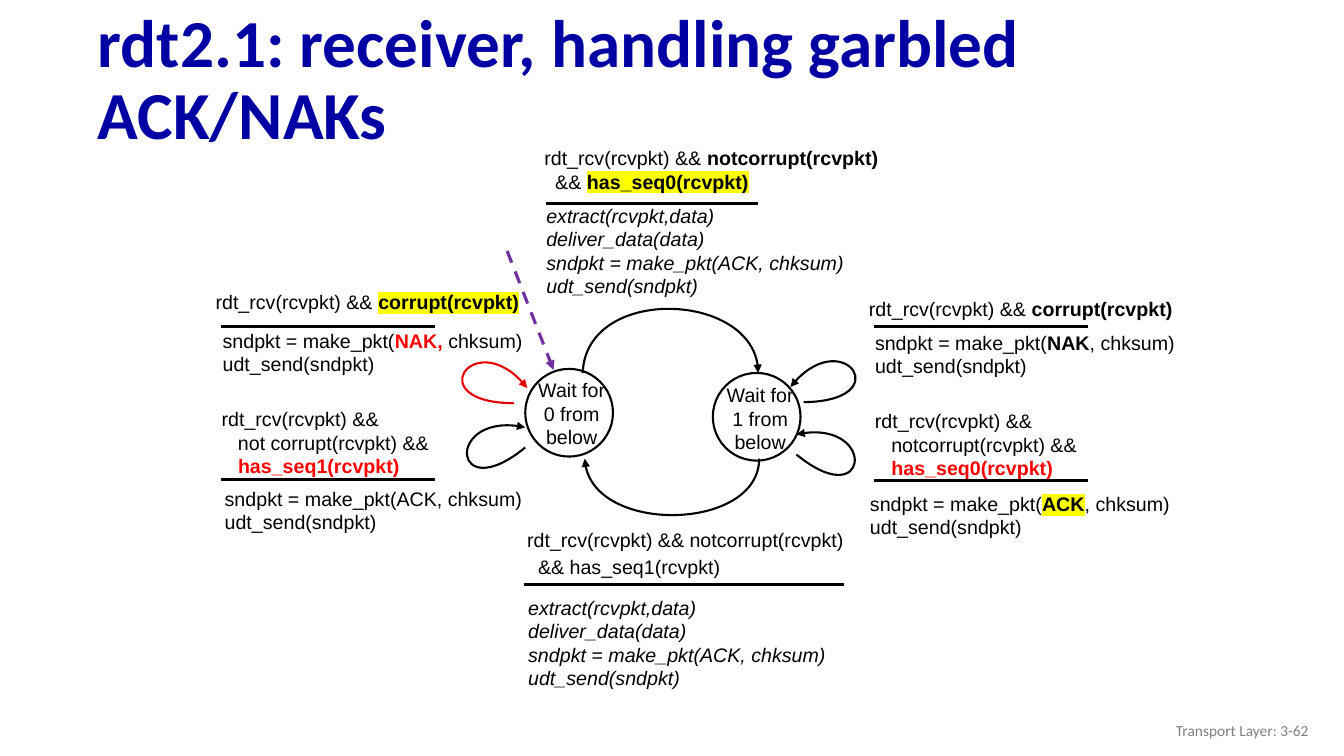
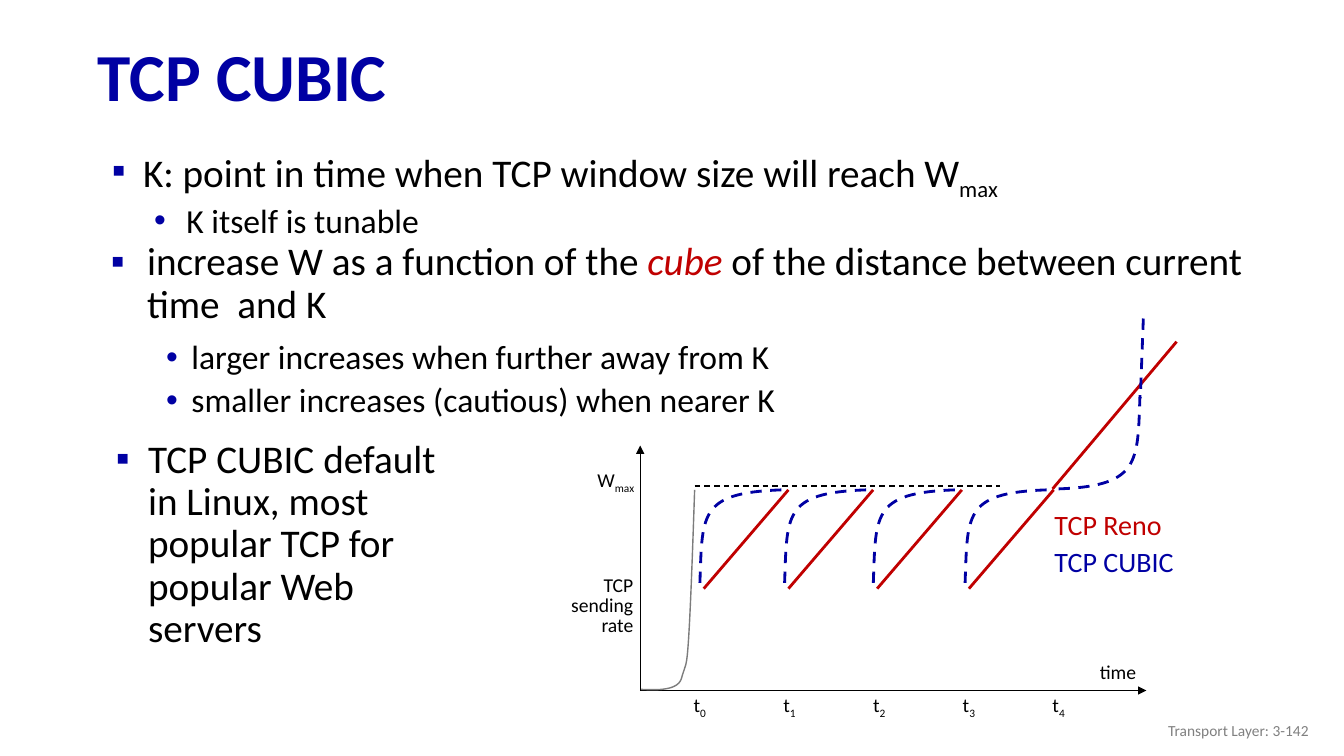
from dataclasses import dataclass

from lxml.etree import SubElement
from pptx import Presentation
from pptx.dml.color import RGBColor
from pptx.enum.dml import MSO_LINE
from pptx.enum.shapes import MSO_CONNECTOR, MSO_SHAPE
from pptx.enum.text import MSO_ANCHOR, MSO_AUTO_SIZE, PP_ALIGN
from pptx.oxml.ns import qn
from pptx.util import Inches, Pt


@dataclass(frozen=True)
class Theme:
    black: str = "000000"
    white: str = "FFFFFF"
    navy: str = "0000A3"
    crimson: str = "C00000"
    red: str = "FF0000"
    loop_red: str = "E40000"
    purple: str = "7030A0"
    gray: str = "808080"
    curve_gray: str = "7C7C7C"
    yellow: str = "FFFF00"
    body_font: str = "Calibri"
    code_font: str = "Arial"
    title_size: int = 48
    body_size: int = 28
    sub_size: int = 24
    legend_size: int = 20
    label_size: int = 14
    footer_size: int = 11


theme = Theme()


def write(target, paragraphs, box=None, font=theme.body_font, size=theme.label_size,
          color=theme.black, bold=False, italic=False, align=PP_ALIGN.LEFT,
          anchor=MSO_ANCHOR.TOP, spacing=None, before=0, bullet=None, indent=None,
          level=0, wrap=True):
    shape = target.shapes.add_textbox(*map(Inches, box)) if box else target
    frame = shape.text_frame
    frame.word_wrap = wrap
    frame.auto_size = MSO_AUTO_SIZE.NONE if wrap else MSO_AUTO_SIZE.SHAPE_TO_FIT_TEXT
    frame.vertical_anchor = anchor
    for runs in paragraphs:
        first = not frame.text
        paragraph = frame.paragraphs[0] if first else frame.add_paragraph()
        paragraph.level = level
        if bullet:
            properties = paragraph._p.get_or_add_pPr()
            properties.set("marL", str(Inches(indent[0])))
            properties.set("indent", str(Inches(indent[1])))
            bullet_color = SubElement(properties, qn("a:buClr"))
            SubElement(bullet_color, qn("a:srgbClr")).set("val", theme.navy)
            SubElement(properties, qn("a:buFont")).set("typeface", theme.code_font)
            SubElement(properties, qn("a:buChar")).set("char", bullet)
        paragraph.alignment = align
        paragraph.line_spacing = spacing
        paragraph.space_before = Pt(0 if first else before)
        for item in [runs] if isinstance(runs, str) else runs:
            text, change = (item, {}) if isinstance(item, str) else item
            run = paragraph.add_run()
            run.text = text
            run.font.name = font
            run.font.size = Pt(size)
            run.font.bold = change.get("bold", bold)
            run.font.italic = change.get("italic", italic)
            run.font.color.rgb = RGBColor.from_string(change.get("color", color))
            properties = run._r.get_or_add_rPr()
            if "baseline" in change:
                properties.set("baseline", str(change["baseline"]))
            if "highlight" in change:
                highlight = SubElement(properties, qn("a:highlight"))
                SubElement(highlight, qn("a:srgbClr")).set("val", change["highlight"])
                properties.find(qn("a:solidFill")).addnext(highlight)
    return shape


def draw(slide, points, color=theme.black, width=1.5, dash=False, arrow=None):
    corners = [(Inches(x), Inches(y)) for x, y in points]
    if len(corners) == 2:
        shape = slide.shapes.add_connector(MSO_CONNECTOR.STRAIGHT, *corners[0], *corners[1])
    else:
        builder = slide.shapes.build_freeform(*corners[0])
        builder.add_line_segments(corners[1:], close=False)
        shape = builder.convert_to_shape()
        shape.fill.background()
        segments = shape._element.xpath(".//a:lnTo")
        for start in range(0, len(segments), 3):
            curve = segments[start].getparent().makeelement(qn("a:cubicBezTo"))
            segments[start].addprevious(curve)
            for segment in segments[start:start + 3]:
                curve.append(segment[0])
                segment.getparent().remove(segment)
    shape.line.color.rgb = RGBColor.from_string(color)
    shape.line.width = Pt(width)
    if dash:
        shape.line.dash_style = MSO_LINE.DASH
    if arrow:
        SubElement(shape.line._get_or_add_ln(), qn(f"a:{arrow}End")).set("type", "triangle")
    SubElement(shape._element.spPr, qn("a:effectLst"))


presentation = Presentation()
presentation.slide_width = Inches(13.33)
presentation.slide_height = Inches(7.5)

slides = []
for title, top, width, number in [
    ("rdt2.1: receiver, handling garbled ACK/NAKs", 0.32, 12.14, 62),
    ("TCP CUBIC", 0.3, 12.46, 142),
]:
    slide = presentation.slides.add_slide(presentation.slide_layouts[5])
    heading = slide.shapes.title
    heading.left, heading.top = Inches(0.87), Inches(top)
    heading.width, heading.height = Inches(width), Inches(0.98)
    write(heading, [title], size=theme.title_size, color=theme.navy, bold=True,
          anchor=MSO_ANCHOR.MIDDLE, spacing=0.9)
    write(slide, [f"Transport Layer: 3-{number}"], box=(10.08, 7.05, 3, 0.4),
          size=theme.footer_size, color=theme.gray, align=PP_ALIGN.RIGHT,
          anchor=MSO_ANCHOR.MIDDLE)
    slides.append(slide)
receiver_slide, cubic_slide = slides

for left, top, label_left, label_top, sequence in [
    (5.21, 3.66, 5.23, 3.7, 0),
    (7.07, 3.7, 7.1, 3.75, 1),
]:
    state = receiver_slide.shapes.add_shape(
        MSO_SHAPE.OVAL, Inches(left), Inches(top), Inches(0.87), Inches(0.87))
    state.shadow.inherit = False
    state.fill.solid()
    state.fill.fore_color.rgb = RGBColor.from_string(theme.white)
    state.line.color.rgb = RGBColor.from_string(theme.black)
    state.line.width = Pt(1.5)
    write(receiver_slide, ["Wait for", f"{sequence} from below"],
          box=(label_left, label_top, 0.88, 0.67), font=theme.code_font,
          align=PP_ALIGN.CENTER)

draw(receiver_slide, [(5.03, 2.49), (5.49, 3.67)], theme.purple, 2.25, dash=True, arrow="tail")

for points, color, arrow in [
    ([(5.8, 4.55), (5.83, 5.31), (7.53, 5.26), (7.53, 4.55)], theme.black, "head"),
    ([(5.78, 3.7), (5.81, 2.84), (7.52, 2.89), (7.52, 3.7)], theme.black, "tail"),
    ([(7.97, 3.99), (8.9, 3.98), (8.35, 3.19), (7.84, 3.84)], theme.black, "tail"),
    ([(7.9, 4.51), (8.62, 5.1), (8.7, 4.14), (7.9, 4.31)], theme.black, "tail"),
    ([(5.21, 4.44), (4.49, 5.03), (4.41, 4.07), (5.21, 4.24)], theme.black, "tail"),
    ([(5.1, 4), (4.17, 4), (4.72, 3.2), (5.23, 3.85)], theme.loop_red, "tail"),
]:
    draw(receiver_slide, points, color, arrow=arrow)

for left, right, y in [
    (5.2, 8.37, 5.8), (5.42, 7.52, 2.02),
    (8.67, 10.79, 3.24), (8.67, 10.79, 4.77),
    (2.19, 4.31, 3.24), (2.19, 4.31, 4.76),
]:
    draw(receiver_slide, [(left, y), (right, y)], width=2.25)

strong = {"bold": True}
marked = {"bold": True, "highlight": theme.yellow}
alert = {"bold": True, "color": theme.red}
receive = "rdt_rcv(rcvpkt) && "
make = "sndpkt = make_pkt("
send = "udt_send(sndpkt)"
deliver = ["extract(rcvpkt,data)", "deliver_data(data)", make + "ACK, chksum)", send]

for left, top, width, lines, options in [
    (5.3, 1.4, 4.35, [[receive, ("notcorrupt(rcvpkt)", strong)],
                      ["  && ", ("has_seq0(rcvpkt)", marked)]], {}),
    (5.32, 1.97, 3.8, deliver, {"italic": True}),
    (5.13, 5.19, 3.92, [receive + "notcorrupt(rcvpkt)", "  && has_seq1(rcvpkt)"],
     {"before": 2}),
    (5.14, 5.86, 4.21, deliver, {"italic": True}),
    (8.52, 2.9, 3.31, [[receive, ("corrupt(rcvpkt)", strong)]], {}),
    (8.58, 3.23, 3.31, [[make, ("NAK", strong), ", chksum)"], send], {}),
    (8.58, 4.01, 2.87, ["rdt_rcv(rcvpkt) &&", "   notcorrupt(rcvpkt) &&",
                        ["   ", ("has_seq0(rcvpkt)", alert)]], {}),
    (8.53, 4.83, 3.22, [[make, ("ACK", marked), ", chksum)"], send], {}),
    (2.04, 2.83, 3.26, [[receive, ("corrupt(rcvpkt)", marked)]], {}),
    (2.11, 3.21, 3.31, [[make, ("NAK,", alert), " chksum)"], send], {}),
    (2.1, 3.99, 2.87, ["rdt_rcv(rcvpkt) &&", "   not corrupt(rcvpkt) &&",
                       ["   ", ("has_seq1(rcvpkt)", alert)]], {}),
    (2.13, 4.78, 3.22, [make + "ACK, chksum)", send], {}),
]:
    write(receiver_slide, lines, box=(left, top, width, 0.1 + 0.24 * len(lines)),
          font=theme.code_font, **options)

subscript = {"baseline": -25000}
main_point = {"size": theme.body_size, "spacing": 0.9, "before": 10, "bullet": "▪"}
sub_point = {"size": theme.sub_size, "spacing": 0.9, "before": 5, "bullet": "•", "level": 1}

definition = write(
    cubic_slide,
    [["K: point in time when TCP window size will reach W", ("max", subscript)]],
    box=(0.87, 1.43, 12.21, 1.04), indent=(0.45, -0.31), **main_point)
write(definition, ["K itself is tunable"], indent=(0.88, -0.32), **sub_point)
write(cubic_slide,
      [["increase W as a function of the ", ("cube", {"color": theme.crimson, "italic": True}),
        " of the distance between current time  and K"]],
      box=(0.86, 2.35, 12.21, 0.95), indent=(0.5, -0.36), **main_point)
write(cubic_slide,
      ["larger increases when further away from K", "smaller increases (cautious) when nearer K"],
      box=(1.04, 3.33, 11.25, 1.09), indent=(0.76, -0.25), **sub_point)
write(cubic_slide,
      ["TCP CUBIC default in Linux, most popular TCP for popular Web servers"],
      box=(0.87, 4.31, 3.78, 2.21), indent=(0.5, -0.32), **main_point)

origin = (6.35, 6.85)
for axis_end in [(11.37, 6.85), (6.35, 4.42)]:
    draw(cubic_slide, [origin, axis_end], width=1, arrow="tail")
draw(cubic_slide,
     [(6.89, 4.86), (6.87, 5.46), (6.85, 6.03), (6.83, 6.34), (6.81, 6.65), (6.8, 6.58),
      (6.76, 6.73), (6.72, 6.87), (6.45, 6.84), (6.36, 6.84)],
     theme.curve_gray, 1)
draw(cubic_slide, [(6.89, 4.82), (9.92, 4.82)], width=1, dash=True)

peak, trough = 4.86, 5.84
for left in [6.94, 7.78, 8.66, 9.57]:
    draw(cubic_slide, [(left + 0.88, peak), (left + 0.04, trough)], theme.crimson, 2)
    draw(cubic_slide,
         [(left + 0.81, peak), (left - 0.03, 4.89), (left + 0.03, 5.11), (left, trough)],
         theme.navy, 2, dash=True)
draw(cubic_slide, [(10.44, 4.85), (11.67, 3.39)], theme.crimson, 2)
draw(cubic_slide, [(10.5, 4.85), (11.34, 4.82), (11.28, 4.57), (11.31, 3.84)],
     theme.navy, 2, dash=True)
draw(cubic_slide, [(11.34, 3.16), (11.31, 3.95)], theme.navy, 2, dash=True)

axis_label = {"align": PP_ALIGN.RIGHT, "spacing": 0.85, "wrap": False}
write(cubic_slide, ["TCP", "sending", "rate"], box=(5.5, 5.67, 0.88, 0.7), **axis_label)
write(cubic_slide, [["W", ("max", subscript)]], box=(5.79, 4.61, 0.6, 0.31), **axis_label)
for index in range(5):
    write(cubic_slide, [["t", (str(index), subscript)]],
          box=(6.76 + 0.89 * index, 6.84, 0.34, 0.31), **axis_label)
write(cubic_slide, ["time"], box=(10.81, 6.5, 0.57, 0.34), wrap=False)
write(cubic_slide,
      [[("TCP Reno", {"color": theme.crimson})], [("TCP CUBIC", {"color": theme.navy})]],
      box=(10.36, 5.04, 1.39, 0.75), size=theme.legend_size, spacing=0.85, before=6, wrap=False)

presentation.save("out.pptx")
